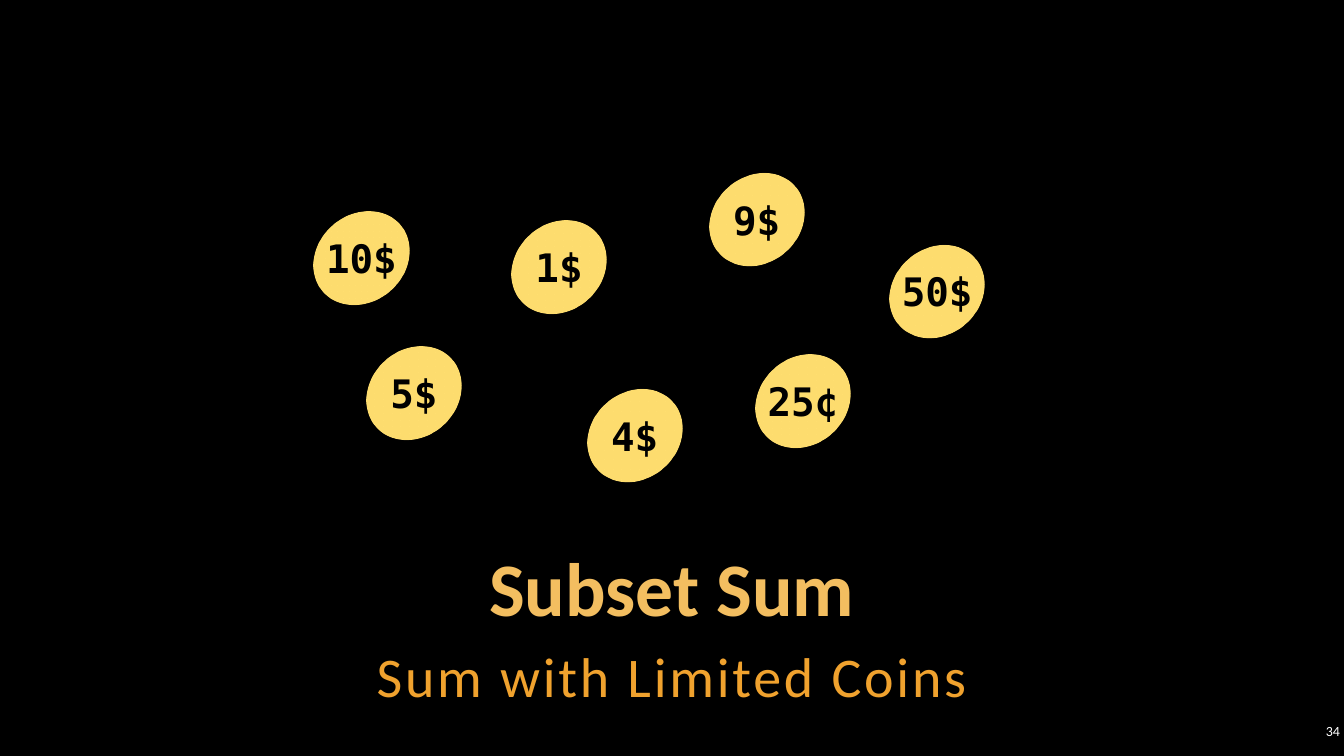
"""Build the Subset Sum slide with its scattered coins."""
from lxml.etree import SubElement
from pptx import Presentation
from pptx.dml.color import RGBColor
from pptx.enum.shapes import MSO_SHAPE
from pptx.enum.text import MSO_ANCHOR, PP_ALIGN
from pptx.oxml.ns import qn
from pptx.util import Inches, Pt

HEAD = "Subset Sum"
SUB = "Sum with Limited Coins"
PAGE = "34"
COINS = [
    ("10$", 3.06, 2.08),
    ("5$", 3.58, 3.42),
    ("4$", 5.77, 3.84),
    ("1$", 5.02, 2.17),
    ("50$", 8.77, 2.41),
    ("25¢", 7.44, 3.5),
    ("9$", 6.98, 1.7),
]
COIN = (1.05, 0.96)
THEME = {
    "back": "000000", "gold": "F3CD60", "edge": "D2A010",
    "head": {"name": "Calibri", "size": 54, "bold": True, "color": "F3BE60"},
    "sub": {"name": "Calibri", "size": 40, "bold": False, "color": "F0A22E"},
    "page": {"name": "Calibri", "size": 10, "bold": False, "color": "FFFFFF"},
    "coin": {"name": "DejaVu Sans Mono", "size": 28, "bold": True, "color": "000000"},
}


def paint(fill, tint):
    fill.solid()
    fill.fore_color.rgb = RGBColor.from_string(tint)


def place(shape, *box):
    for name, size in zip(("left", "top", "width", "height"), box):
        setattr(shape, name, Inches(size))


def write(shape, text, style, anchor, pad=0.04, wrap=True, **form):
    frame = shape.text_frame
    sides = ("left", "right", "top", "bottom")
    look = {f"margin_{side}": Inches(pad) for side in sides}
    look |= {"word_wrap": wrap, "vertical_anchor": anchor, "text": text}
    for name, value in look.items():
        setattr(frame, name, value)
    para = frame.paragraphs[0]
    for name, value in ({"alignment": PP_ALIGN.CENTER} | form).items():
        setattr(para, name, value)
    run = para.runs[0]
    for name, value in THEME[style].items():
        if name == "color":
            run.font.color.rgb = RGBColor.from_string(value)
        else:
            setattr(run.font, name, Pt(value) if name == "size" else value)
    return run


def tilt(shape):
    prop = shape.element.spPr
    scene = SubElement(prop, qn("a:scene3d"))
    SubElement(scene, qn("a:camera"), prst="isometricOffAxis1Right")
    SubElement(scene, qn("a:lightRig"), rig="threePt", dir="t")
    SubElement(prop, qn("a:sp3d"))


def add_coin(slide, text, left, top):
    coin = slide.shapes.add_shape(
        MSO_SHAPE.OVAL, *map(Inches, (left, top, *COIN)))
    coin.shadow.inherit = False
    paint(coin.fill, THEME["gold"])
    paint(coin.line.fill, THEME["edge"])
    coin.line.width = Pt(2.25)
    tilt(coin)
    write(coin, text, "coin", MSO_ANCHOR.MIDDLE, pad=0, wrap=False)


def main():
    deck = Presentation()
    deck.slide_width, deck.slide_height = Inches(13.33), Inches(7.5)
    slide = deck.slides.add_slide(deck.slide_layouts[5])
    paint(slide.background.fill, THEME["back"])

    title = slide.shapes.title
    place(title, 1, 5.42, 11.33, 0.9)
    write(title, HEAD, "head", MSO_ANCHOR.BOTTOM, line_spacing=0.9)

    box = slide.shapes.add_textbox(*map(Inches, (1, 6.29, 11.33, 0.79)))
    run = write(box, SUB, "sub", MSO_ANCHOR.TOP, line_spacing=1.05,
                space_after=Pt(6))
    run.font._element.set("spc", "200")

    page = slide.shapes.add_textbox(*map(Inches, (12.86, 7.14, 0.47, 0.22)))
    write(page, PAGE, "page", MSO_ANCHOR.MIDDLE, alignment=PP_ALIGN.RIGHT)

    for coin in COINS:
        add_coin(slide, *coin)
    deck.save("out.pptx")


if __name__ == "__main__":
    main()
